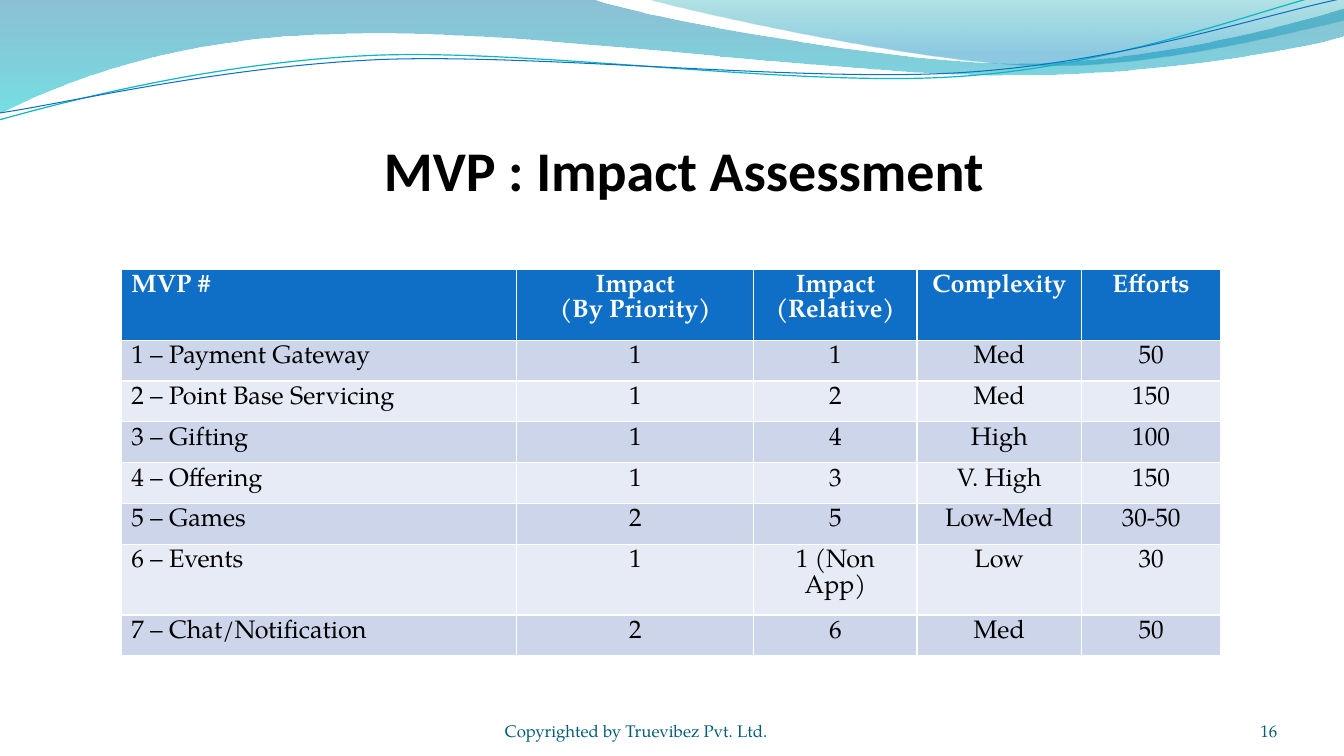
from dataclasses import dataclass
from typing import Optional

from lxml.etree import SubElement
from pptx import Presentation
from pptx.dml.color import RGBColor
from pptx.enum.text import MSO_ANCHOR, PP_ALIGN
from pptx.oxml.ns import qn
from pptx.slide import Slide
from pptx.util import Pt


@dataclass(frozen=True)
class Theme:
    heading_font: str = "Calibri"
    body_font: str = "TeX Gyre Pagella"
    title_size: float = 40
    table_size: float = 18
    footer_size: float = 12
    black: str = "000000"
    white: str = "FFFFFF"
    footer: str = "045D75"
    header: str = "0F6FC6"
    bands: tuple[str, str] = ("CCD5EA", "E7EBF5")
    teal_line: str = "0AB8BF"
    blue_line: str = "0F6FC6"


@dataclass(frozen=True)
class Stop:
    position: float
    color: str
    opacity: int


@dataclass(frozen=True)
class Wave:
    start: tuple[float, float]
    segments: tuple[tuple[float, ...], ...]
    stops: tuple[Stop, ...] = ()
    line: Optional[str] = None
    width: float = 0


@dataclass(frozen=True)
class Label:
    text: str
    left: float
    top: float
    width: float
    height: float
    font: str
    size: float
    color: str
    align: PP_ALIGN
    bold: bool = False
    inset_top: float = 0


THEME = Theme()

WAVES = (
    Wave((0, 0), (
        (422.6, -0.7),
        (456.5, 12.2, 637.2, 45.4, 727.9, 45.4),
        (819.4, 45.4, 920.2, 18.7, 959.8, 6.5),
        (961.2, 25.9),
        (943.9, 31.7, 835.2, 54.7, 715.7, 54),
        (596.9, 54, 366.5, 20.2, 247, 24.5),
        (123.1, 25.9, 43.9, 59.8, -0.7, 81.4),
    ), stops=(Stop(0, "0074A1", 45), Stop(1, "00C6CF", 55))),
    Wave((460.1, -0.7), (
        (488.9, 7.9, 654.5, 44.6, 738, 46.8),
        (821.5, 49.7, 923, 23, 959.8, 15.1),
        (959.8, 0),
    ), stops=(Stop(0, "00A1A9", 30), Stop(0.8, "008BBF", 45))),
    Wave((-0.7, 85.7), (
        (46.1, 72.7, 151.9, 44.6, 265.7, 39.6),
        (379.4, 34.6, 568.8, 62.6, 684, 54.7),
        (799.2, 47.5, 901.4, 5.8, 958.3, -7.2),
    ), line=THEME.teal_line, width=0.85),
    Wave((0, 80.6), (
        (45.4, 74.2, 157, 47.5, 272.2, 42.5),
        (386.6, 38.2, 573.1, 59, 687.6, 51.8),
        (802.8, 44.6, 903.6, 10.1, 960.5, -1.4),
    ), line=THEME.blue_line, width=0.75),
)

LABELS = (
    Label("MVP : Impact Assessment", 60.5, 89.3, 856, 55.4, THEME.heading_font,
          THEME.title_size, THEME.black, PP_ALIGN.CENTER, True, 3.6),
    Label("16", 832.3, 500.4, 80, 28.8, THEME.body_font,
          THEME.footer_size, THEME.footer, PP_ALIGN.RIGHT),
    Label("Copyrighted by Truevibez Pvt. Ltd. ", 280, 500.4, 352, 28.8, THEME.body_font,
          THEME.footer_size, THEME.footer, PP_ALIGN.CENTER),
)

COLUMN_WIDTHS = (282.6, 169.2, 116.6, 117.6, 99.4)
ROW_HEIGHT = 29.2
TABLE_HEIGHT = 254.9
ROWS = (
    ("MVP #", "Impact\n(By Priority)", "Impact (Relative)", "Complexity", "Efforts"),
    ("1 – Payment Gateway", "1", "1", "Med", "50"),
    ("2 – Point Base Servicing", "1", "2", "Med", "150"),
    ("3 – Gifting", "1", "4", "High", "100"),
    ("4 – Offering", "1", "3", "V. High", "150"),
    ("5 – Games", "2", "5", "Low-Med", "30-50"),
    ("6 – Events", "1", "1 (Non App)", "Low", "30"),
    ("7 – Chat/Notification", "2", "6", "Med", "50"),
)


def rgb(color: str) -> RGBColor:
    return RGBColor.from_string(color)


def draw_wave(s: Slide, wave: Wave) -> None:
    builder = s.shapes.build_freeform(Pt(wave.start[0]), Pt(wave.start[1]))
    ends = [(Pt(segment[-2]), Pt(segment[-1])) for segment in wave.segments]
    builder.add_line_segments(ends, close=bool(wave.stops))
    sp = builder.convert_to_shape()
    sp.shadow.inherit = False
    for step, segment in zip(list(sp._element.iter(qn("a:lnTo"))), wave.segments):
        if len(segment) == 6:
            curve = SubElement(step.getparent(), qn("a:cubicBezTo"))
            for x, y in zip(segment[::2], segment[1::2]):
                point = SubElement(curve, qn("a:pt"))
                point.set("x", str(Pt(x) - sp.left))
                point.set("y", str(Pt(y) - sp.top))
            step.getparent().replace(step, curve)
    if wave.stops:
        sp.fill.gradient()
        sp.fill.gradient_angle = 270
        for target, stop in zip(sp.fill.gradient_stops, wave.stops):
            target.color.rgb = rgb(stop.color)
            target.position = stop.position
        for color, stop in zip(sp._element.spPr.iter(qn("a:srgbClr")), wave.stops):
            SubElement(color, qn("a:alpha")).set("val", str(stop.opacity * 1000))
        sp.line.fill.background()
    else:
        sp.fill.background()
        sp.line.color.rgb = rgb(wave.line)
        sp.line.width = Pt(wave.width)


def draw_label(s: Slide, label: Label) -> None:
    sp = s.shapes.add_textbox(Pt(label.left), Pt(label.top), Pt(label.width), Pt(label.height))
    tf = sp.text_frame
    tf.word_wrap = True
    tf.vertical_anchor = MSO_ANCHOR.BOTTOM
    tf.margin_left = tf.margin_right = tf.margin_bottom = 0
    tf.margin_top = Pt(label.inset_top)
    tf.text = label.text
    p = tf.paragraphs[0]
    p.alignment = label.align
    p.font.name, p.font.size, p.font.bold = label.font, Pt(label.size), label.bold
    p.font.color.rgb = rgb(label.color)


def draw_table(s: Slide, left: float, top: float) -> None:
    frame = s.shapes.add_table(len(ROWS), len(COLUMN_WIDTHS), Pt(left), Pt(top),
                               Pt(sum(COLUMN_WIDTHS)), Pt(TABLE_HEIGHT))
    table = frame.table
    for column, width in zip(table.columns, COLUMN_WIDTHS):
        column.width = Pt(width)
    for i, values in enumerate(ROWS):
        table.rows[i].height = Pt(ROW_HEIGHT)
        is_header = i == 0
        for j, value in enumerate(values):
            cell = table.cell(i, j)
            cell.fill.solid()
            cell.fill.fore_color.rgb = rgb(THEME.header if is_header else THEME.bands[(i - 1) % 2])
            cell.text = value
            for p in cell.text_frame.paragraphs:
                p.alignment = PP_ALIGN.CENTER if j else PP_ALIGN.LEFT
                p.font.name, p.font.size = THEME.body_font, Pt(THEME.table_size)
                p.font.bold = is_header
                p.font.color.rgb = rgb(THEME.white if is_header else THEME.black)
    frame.height = Pt(TABLE_HEIGHT)


def main() -> None:
    prs = Presentation()
    prs.slide_width, prs.slide_height = Pt(960), Pt(540)
    s = prs.slides.add_slide(prs.slide_layouts[6])
    for wave in WAVES:
        draw_wave(s, wave)
    for label in LABELS:
        draw_label(s, label)
    draw_table(s, 86.6, 192.5)
    prs.save("out.pptx")


if __name__ == "__main__":
    main()
